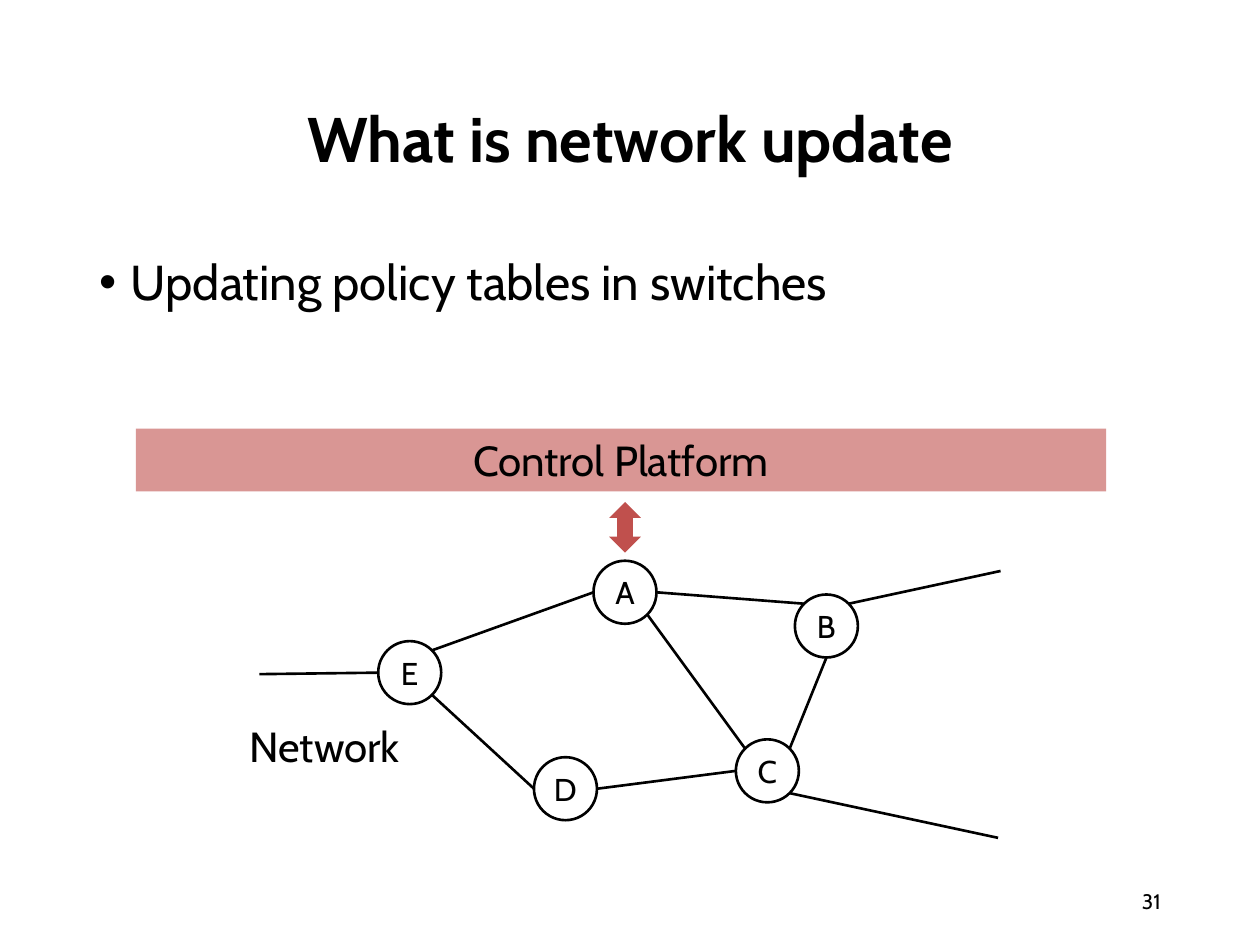
from math import cos, radians, sin

from lxml.etree import SubElement
from pptx import Presentation
from pptx.dml.color import RGBColor
from pptx.enum.shapes import MSO_CONNECTOR, MSO_SHAPE
from pptx.enum.text import MSO_ANCHOR, PP_ALIGN
from pptx.oxml.ns import qn
from pptx.util import Cm, Pt

# Content, lengths in cm
COLORS = {"ink": "000000", "platform": "D99694", "arrow": "C0504D"}
FONT = "Cabin"
TITLE = "What is network update"
BULLET = "Updating policy tables in switches"
NODE_SIZE = 1.27
NODES = {  # centre of each switch
    "E": (8.26, 13.56),
    "A": (12.6, 11.94),
    "D": (11.4, 15.9),
    "B": (16.66, 12.62),
    "C": (15.47, 15.54),
}
# Angle on the rim, clockwise from the right
RIGHT, LOWER_RIGHT, BOTTOM, LEFT, UPPER_LEFT, UPPER_RIGHT = 0, 45, 90, 180, 225, 315
LINKS = [  # each end is (switch, rim angle)
    (("D", LEFT), ("E", LOWER_RIGHT)),
    (("C", LEFT), ("D", RIGHT)),
    (("B", BOTTOM), ("C", UPPER_RIGHT)),
    (("A", LEFT), ("E", UPPER_RIGHT)),
    (("B", UPPER_LEFT), ("A", RIGHT)),
    (("A", LOWER_RIGHT), ("C", UPPER_LEFT)),
]
UPLINKS = [  # switch end, then a free point
    (("E", LEFT), (5.23, 13.59)),
    (("B", UPPER_RIGHT), (20.17, 11.51)),
    (("C", LOWER_RIGHT), (20.12, 16.89)),
]


def rgb(name):
    return RGBColor.from_string(COLORS[name])


def write(sp, text, size, align=PP_ALIGN.LEFT, anchor=MSO_ANCHOR.TOP, wrap=True,
          bold=False, spacing=None):
    tf = sp.text_frame
    tf.word_wrap, tf.vertical_anchor = wrap, anchor
    p = tf.paragraphs[0]
    p.alignment = align
    if spacing:
        p.line_spacing = spacing
    r = p.add_run()
    r.text = text
    for key, value in {"name": FONT, "size": Pt(size), "bold": bold}.items():
        setattr(r.font, key, value)
    r.font.color.rgb = rgb("ink")
    return p


def add_shape(kind, box, fill=None, line=None):
    sp = s.shapes.add_shape(kind, *map(Cm, box))
    sp.shadow.inherit = False
    if fill:
        sp.fill.solid()
        sp.fill.fore_color.rgb = rgb(fill)
    else:
        sp.fill.background()
    if line:
        sp.line.color.rgb = rgb(line)
        sp.line.width = Pt(1.5)
    else:
        sp.line.fill.background()
    return sp


def add_text(box, *args, **formats):
    return write(s.shapes.add_textbox(*map(Cm, box)), *args, **formats)


def rim(node, angle):
    x, y = NODES[node]
    a, radius = radians(angle), NODE_SIZE / 2
    return x + radius * cos(a), y + radius * sin(a)


def add_line(start, end):
    line = s.shapes.add_connector(MSO_CONNECTOR.STRAIGHT, *map(Cm, start + end))
    line.line.color.rgb = rgb("ink")
    line.line.width = Pt(1.5)
    SubElement(line._element.spPr, qn("a:effectLst"))


prs = Presentation()
prs.slide_width, prs.slide_height = Cm(25.4), Cm(19.05)
s = prs.slides.add_slide(prs.slide_layouts[5])

# Title
title = s.shapes.title
title.left, title.top, title.width, title.height = map(Cm, (1.75, 1.02, 21.9, 3.68))
write(title, TITLE, 36, PP_ALIGN.CENTER, MSO_ANCHOR.MIDDLE, bold=True, spacing=0.9)

# Bullet
p = add_text((1.75, 5.08, 21.9, 3), BULLET, 28, spacing=0.9)
pPr = p._p.get_or_add_pPr()
pPr.set("marL", str(Cm(0.64)))
pPr.set("indent", str(-Cm(0.64)))
SubElement(pPr, qn("a:buFont")).set("typeface", "Arial")
SubElement(pPr, qn("a:buChar")).set("char", "•")

# Control platform and its arrow to the network
platform = add_shape(MSO_SHAPE.RECTANGLE, (2.74, 8.64, 19.56, 1.27), fill="platform")
write(platform, "Control Platform", 24, PP_ALIGN.CENTER, MSO_ANCHOR.MIDDLE)
arrow = add_shape(MSO_SHAPE.LEFT_RIGHT_ARROW, (12.09, 10.31, 1.02, 0.64), fill="arrow")
arrow.rotation = 90

# Switches
for name, (x, y) in NODES.items():
    half = NODE_SIZE / 2
    node = add_shape(MSO_SHAPE.OVAL, (x - half, y - half, NODE_SIZE, NODE_SIZE), line="ink")
    write(node, name, 18, PP_ALIGN.CENTER, MSO_ANCHOR.MIDDLE, wrap=False)

# Links between switches and out of the network
for start, end in LINKS:
    add_line(rim(*start), rim(*end))
for start, point in UPLINKS:
    add_line(rim(*start), point)

# Network label and page number
add_text((4.78, 14.4, 3.61, 1.27), "Network", 24, wrap=False)
add_text((17.93, 17.65, 5.72, 1.02), "31", 12, PP_ALIGN.RIGHT, MSO_ANCHOR.MIDDLE)

prs.save("out.pptx")
